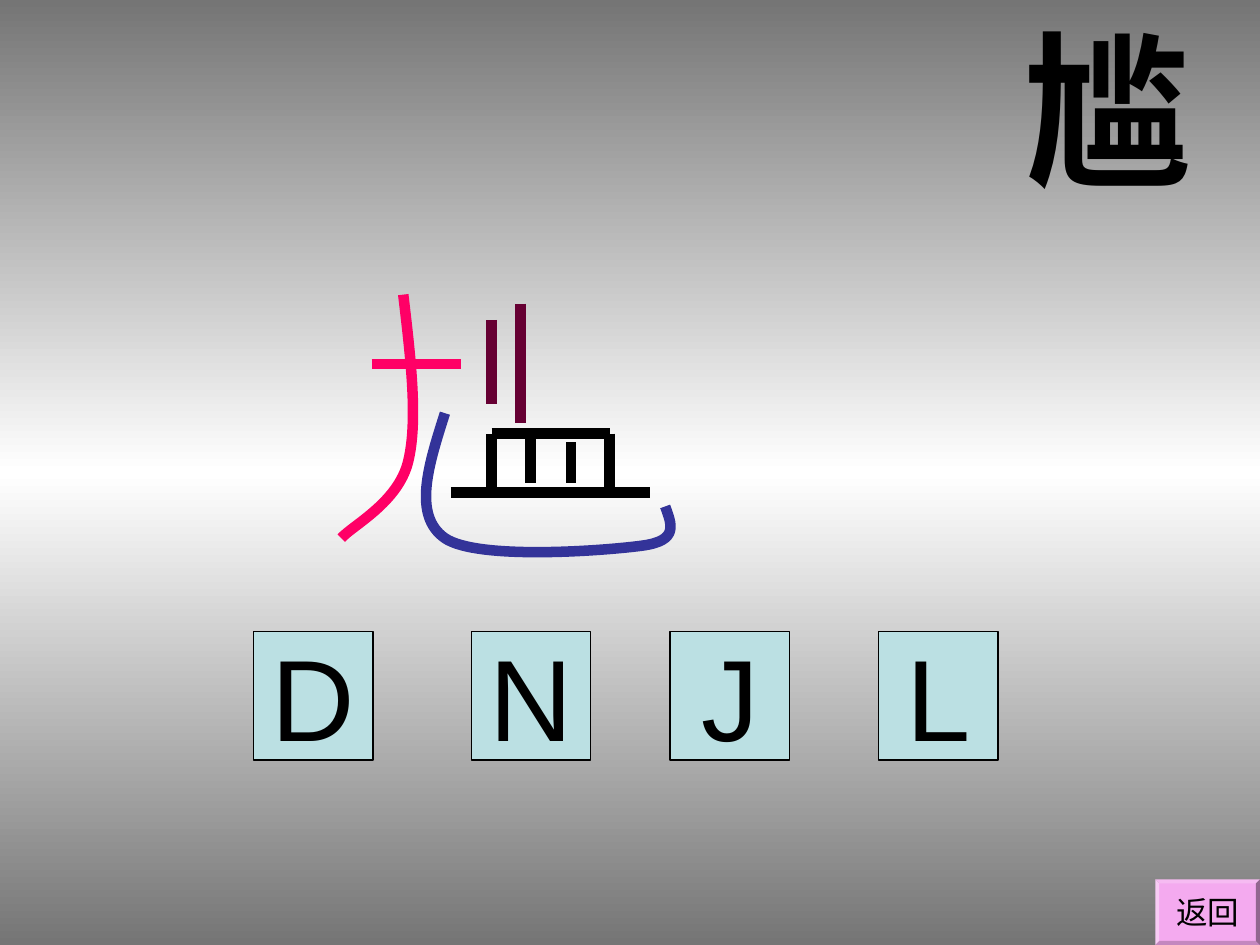
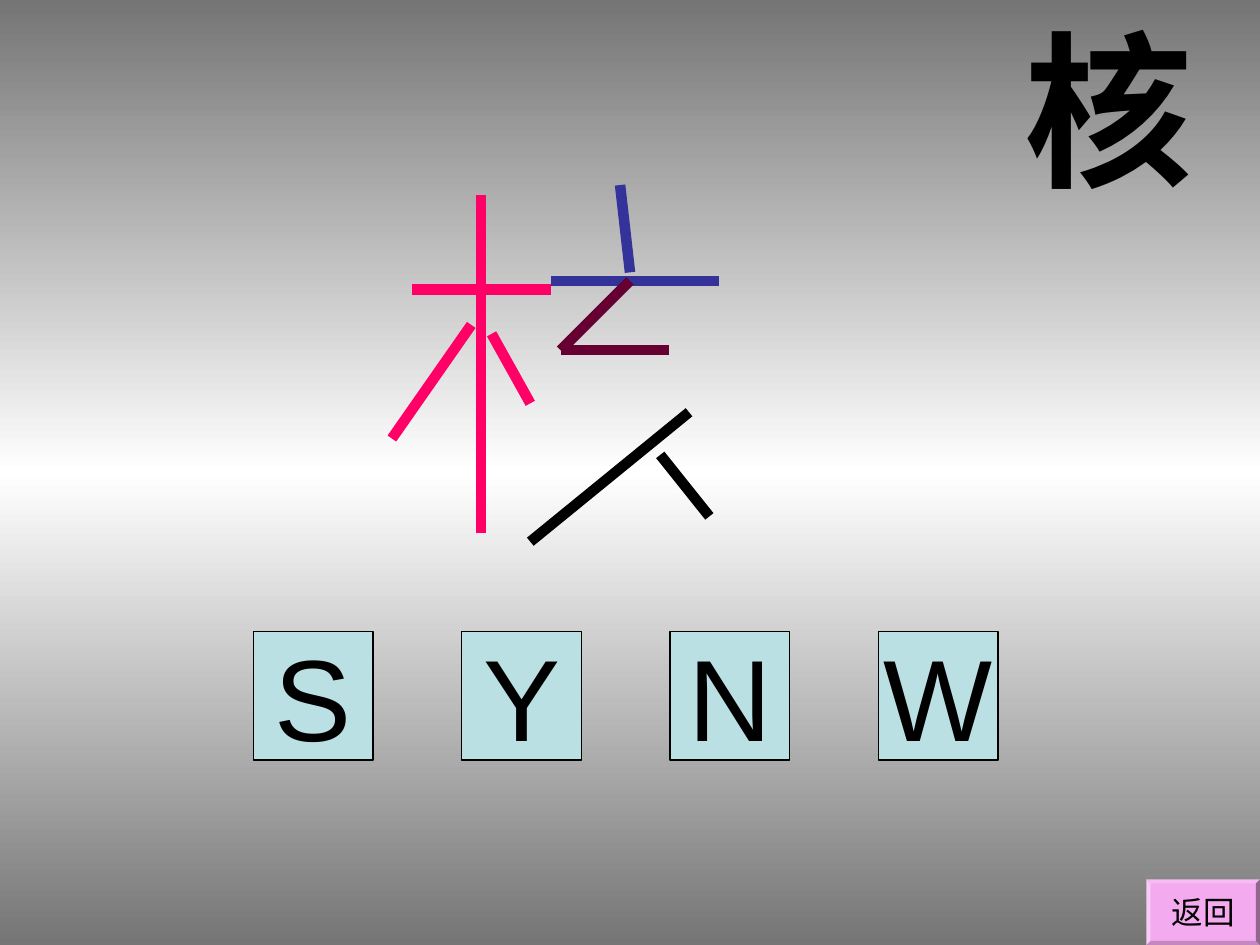
from copy import deepcopy
from dataclasses import dataclass

from lxml.etree import SubElement
from pptx import Presentation
from pptx.dml.color import RGBColor
from pptx.enum.shapes import MSO_CONNECTOR, MSO_SHAPE
from pptx.enum.text import MSO_ANCHOR, MSO_AUTO_SIZE, PP_ALIGN
from pptx.oxml.ns import qn
from pptx.util import Cm, Pt

Point = tuple[float, float]


@dataclass(frozen=True)
class Theme:
    font: str = "Arial"
    black: RGBColor = RGBColor(0x00, 0x00, 0x00)
    white: RGBColor = RGBColor(0xFF, 0xFF, 0xFF)
    gray: RGBColor = RGBColor(0x75, 0x75, 0x75)
    key_fill: RGBColor = RGBColor(0xBB, 0xE0, 0xE3)
    button_fill: RGBColor = RGBColor(0xF4, 0xAA, 0xEF)
    pink: RGBColor = RGBColor(0xFF, 0x00, 0x66)
    blue: RGBColor = RGBColor(0x33, 0x33, 0x99)
    plum: RGBColor = RGBColor(0x66, 0x00, 0x33)
    character_size: Pt = Pt(96)
    key_size: Pt = Pt(66)
    button_size: Pt = Pt(18)
    stroke_width: Pt = Pt(6)
    key_line_width: Pt = Pt(0.75)


THEME = Theme()
SLIDE_WIDTH, SLIDE_HEIGHT = 25.4, 19.05
KEY_LEFT, KEY_TOP, KEY_PITCH = 5.11, 12.73, 4.2
KEY_WIDTH, KEY_HEIGHT = 2.41, 2.59
BUTTON_TOP = 17.73


@dataclass(frozen=True)
class Key:
    letter: str
    nudge: float = 0


@dataclass(frozen=True)
class Radical:
    """Strokes of one colour: two points make a line, more make Bezier curves."""
    color: RGBColor
    strokes: tuple[tuple[Point, ...], ...]


@dataclass(frozen=True)
class CharacterSlide:
    character: str
    keys: tuple[Key, ...]
    radicals: tuple[Radical, ...]
    button_width: float


CHARACTER_SLIDES = (
    CharacterSlide(
        "尴",
        (Key("D"), Key("N", 0.19), Key("J"), Key("L")),
        (
            Radical(THEME.pink, (
                ((7.49, 7.34), (9.3, 7.34)),
                ((8.13, 5.94), (8.28, 7.21), (8.43, 8.48), (8.23, 9.3),
                 (8.03, 10.13), (7.11, 10.59), (6.88, 10.85)),
            )),
            Radical(THEME.blue, (
                ((8.97, 8.33), (8.64, 9.37), (8.31, 10.39), (8.97, 10.85),
                 (9.63, 11.3), (12.22, 11.1), (12.95, 11),
                 (13.69, 10.9), (13.54, 10.57), (13.41, 10.21)),
            )),
            Radical(THEME.plum, (
                ((9.91, 6.45), (9.91, 8.15)),
                ((10.49, 6.12), (10.49, 8.53)),
            )),
            Radical(THEME.black, (
                ((9.91, 8.74), (9.91, 9.93)),
                ((9.91, 8.74), (12.29, 8.74)),
                ((12.29, 8.74), (12.29, 9.93)),
                ((10.69, 8.74), (10.69, 9.73)),
                ((11.51, 8.92), (11.51, 9.73)),
                ((9.09, 9.93), (13.11, 9.93)),
            )),
        ),
        button_width=2.11,
    ),
    CharacterSlide(
        "核",
        (Key("S"), Key("Y"), Key("N"), Key("W")),
        (
            Radical(THEME.pink, (
                ((8.31, 5.84), (11.1, 5.84)),
                ((9.7, 3.94), (9.7, 10.74)),
                ((9.5, 6.55), (7.9, 8.84)),
                ((9.91, 6.73), (10.69, 8.13)),
            )),
            Radical(THEME.blue, (
                ((12.5, 3.73), (12.7, 5.49)),
                ((11.1, 5.66), (14.5, 5.66)),
            )),
            Radical(THEME.plum, (
                ((12.7, 5.66), (11.3, 7.06)),
                ((11.3, 7.06), (13.49, 7.06)),
            )),
            Radical(THEME.black, (
                ((13.89, 8.31), (10.69, 10.92)),
                ((13.31, 9.17), (14.3, 10.41)),
            )),
        ),
        button_width=2.29,
    ),
)


def set_text(shape, text: str, size: Pt, bold: bool = False):
    paragraph = shape.text_frame.paragraphs[0]
    paragraph.text = text
    font = paragraph.font
    font.name, font.size, font.bold = THEME.font, size, bold
    font.color.rgb = THEME.black
    return paragraph


def paint_background(slide) -> None:
    fill = slide.background.fill
    fill.gradient()
    fill.gradient_angle = 90
    stop_list = slide.element.find(".//" + qn("a:gsLst"))
    stop_list.insert(1, deepcopy(stop_list[0]))
    colors = (THEME.gray, THEME.white, THEME.gray)
    for index, (stop, color) in enumerate(zip(fill.gradient_stops, colors)):
        stop.position = index / 2
        stop.color.rgb = color


def add_character(slide, character: str) -> None:
    box = slide.shapes.add_textbox(Cm(20.4), Cm(0), Cm(5), Cm(4.32))
    box.text_frame.word_wrap = True
    box.text_frame.auto_size = MSO_AUTO_SIZE.SHAPE_TO_FIT_TEXT
    set_text(box, character, THEME.character_size, bold=True)


def add_label_shape(slide, kind: MSO_SHAPE, box: tuple[float, ...],
                    fill: RGBColor, text: str, size: Pt):
    shape = slide.shapes.add_shape(kind, *map(Cm, box))
    shape.shadow.inherit = False
    shape.fill.solid()
    shape.fill.fore_color.rgb = fill
    shape.text_frame.word_wrap = False
    shape.text_frame.vertical_anchor = MSO_ANCHOR.MIDDLE
    set_text(shape, text, size).alignment = PP_ALIGN.CENTER
    return shape


def add_keys(slide, keys: tuple[Key, ...]) -> None:
    for index, key in enumerate(keys):
        left = KEY_LEFT + index * KEY_PITCH + key.nudge
        shape = add_label_shape(
            slide, MSO_SHAPE.RECTANGLE, (left, KEY_TOP, KEY_WIDTH, KEY_HEIGHT),
            THEME.key_fill, key.letter, THEME.key_size)
        shape.line.color.rgb = THEME.black
        shape.line.width = THEME.key_line_width


def add_return_button(slide, width: float) -> None:
    box = (SLIDE_WIDTH - width, BUTTON_TOP, width, SLIDE_HEIGHT - BUTTON_TOP)
    button = add_label_shape(slide, MSO_SHAPE.BEVEL, box, THEME.button_fill,
                             "返回", THEME.button_size)
    button.adjustments[0] = 0.06
    button.line.fill.background()


def add_line(shapes, start: Point, end: Point):
    connector = shapes.add_connector(
        MSO_CONNECTOR.STRAIGHT, *map(Cm, (*start, *end)))
    SubElement(connector.element.spPr, qn("a:effectLst"))
    return connector


def add_curve(shapes, points: tuple[Point, ...]):
    """Draw cubic Bezier curves: a start, then two controls and an end each."""
    start, *others = [(Cm(x), Cm(y)) for x, y in points]
    builder = shapes.build_freeform(*start)
    builder.add_line_segments(others, close=False)
    curve = builder.convert_to_shape()
    curve.shadow.inherit = False
    curve.fill.background()
    path = curve.element.find(".//" + qn("a:path"))
    segments = path.findall(qn("a:lnTo"))
    for first in range(0, len(segments), 3):
        bezier = SubElement(path, qn("a:cubicBezTo"))
        for segment in segments[first:first + 3]:
            bezier.append(segment[0])
            path.remove(segment)
    return curve


def add_radical(slide, radical: Radical) -> None:
    shapes = slide.shapes
    if len(radical.strokes) > 1:
        shapes = shapes.add_group_shape().shapes
    for points in radical.strokes:
        if len(points) == 2:
            stroke = add_line(shapes, *points)
        else:
            stroke = add_curve(shapes, points)
        stroke.line.color.rgb = radical.color
        stroke.line.width = THEME.stroke_width


def add_character_slide(presentation, content: CharacterSlide) -> None:
    slide = presentation.slides.add_slide(presentation.slide_layouts[6])
    paint_background(slide)
    add_character(slide, content.character)
    add_keys(slide, content.keys)
    for radical in content.radicals:
        add_radical(slide, radical)
    add_return_button(slide, content.button_width)


def main() -> None:
    presentation = Presentation()
    presentation.slide_width = Cm(SLIDE_WIDTH)
    presentation.slide_height = Cm(SLIDE_HEIGHT)
    for content in CHARACTER_SLIDES:
        add_character_slide(presentation, content)
    presentation.save("out.pptx")


if __name__ == "__main__":
    main()
